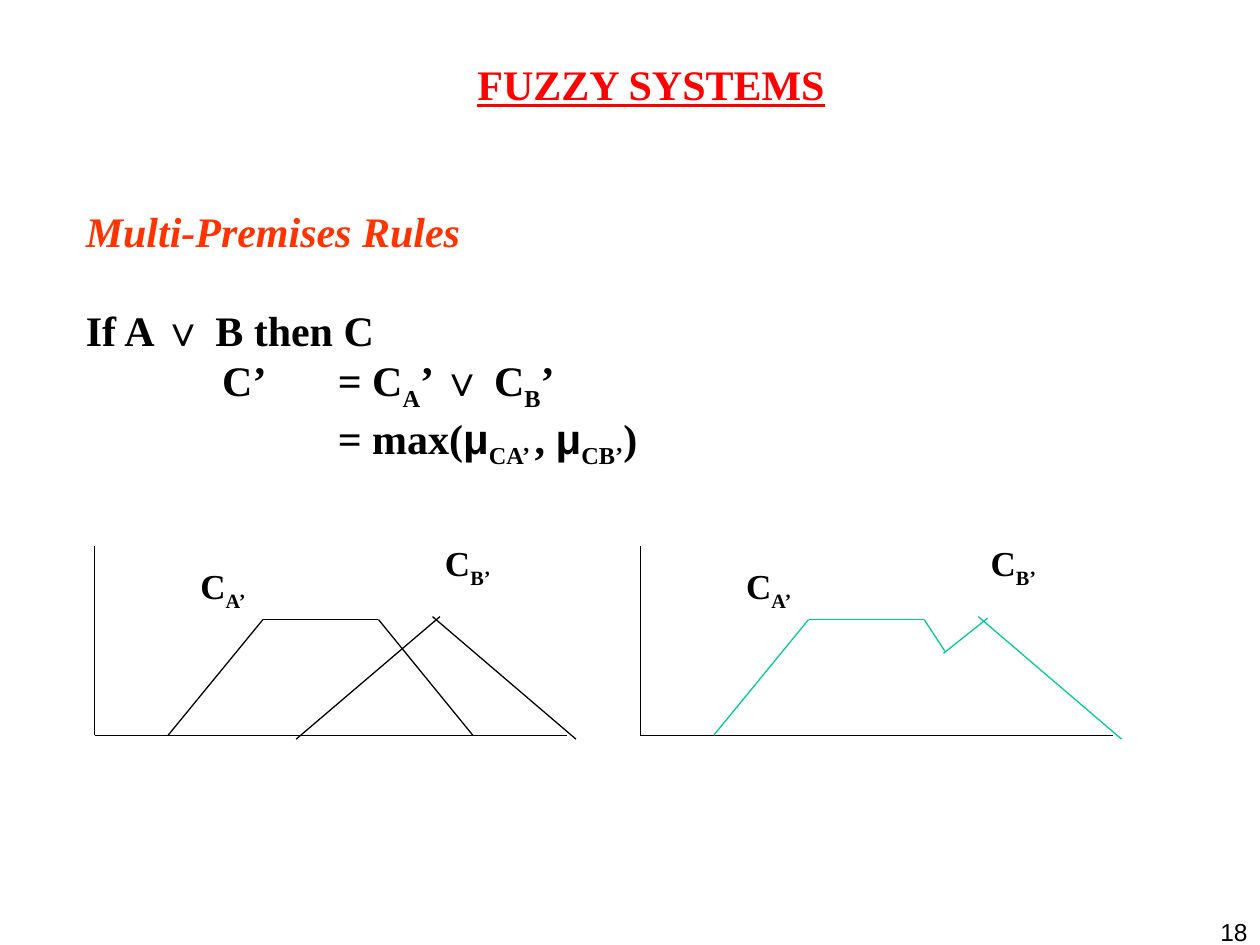
import pptx
import pptx.dml.color
import pptx.enum.shapes
import pptx.enum.text
import pptx.oxml
import pptx.oxml.ns
import pptx.util
from pptx.util import Cm

BLACK = pptx.dml.color.RGBColor(0x00, 0x00, 0x00)
RED = pptx.dml.color.RGBColor(0xFF, 0x00, 0x00)
ORANGE = pptx.dml.color.RGBColor(0xFF, 0x33, 0x00)
GREEN = pptx.dml.color.RGBColor(0x00, 0xCC, 0x99)
SERIF, SANS = "Times New Roman", "Arial"
ALIGN = pptx.enum.text.PP_ALIGN

# Graph geometry in cm, measured right and up from each graph's origin
ORIGIN_Y = 14.82
LEFT_X, RIGHT_X = 1.91, 12.91
AXES = [((0, 0), (0, 3.81)), ((0, 0), (9.53, 0))]
A_RISE = ((1.48, 0), (3.39, 2.33))
A_TOP = ((3.39, 2.33), (5.72, 2.33))
A_FALL = ((5.72, 2.33), (7.62, 0))
B_RISE = ((4.06, -0.08), (6.96, 2.39))
B_FALL = ((6.81, 2.39), (9.7, -0.08))
A_FALL_TO_B = ((5.72, 2.33), (6.14, 1.69))
B_RISE_FROM_A = ((6.11, 1.65), (7, 2.36))
LABELS = [("A’", 1.88, 3.56), ("B’", 6.81, 4.02)]


def add_run(paragraph, text, size=24, color=BLACK, font=SERIF, bold=True, sub=False):
    run = paragraph.add_run()
    run.text = text
    run.font.size = pptx.util.Pt(size)
    run.font.name = font
    run.font.bold = bold
    run.font.color.rgb = color
    if sub:
        run.font._element.set("baseline", "-25000")
    return run


def add_text_frame(shapes, left, top, width, height, wrap=True):
    frame = shapes.add_textbox(Cm(left), Cm(top), Cm(width), Cm(height)).text_frame
    frame.word_wrap = wrap
    return frame


def add_tab_stops(paragraph, *positions):
    tabs = pptx.oxml.parse_xml(f"<a:tabLst {pptx.oxml.ns.nsdecls('a')}/>")
    for position in positions:
        stop = tabs.makeelement(pptx.oxml.ns.qn("a:tab"), {"pos": str(Cm(position)), "algn": "l"})
        tabs.append(stop)
    paragraph._p.get_or_add_pPr().append(tabs)


def add_title(slide):
    title = slide.shapes.title
    title.left, title.top, title.width, title.height = Cm(3.18), Cm(1.06), Cm(19.89), Cm(1.27)
    frame = title.text_frame
    frame.word_wrap = True
    frame.auto_size = pptx.enum.text.MSO_AUTO_SIZE.NONE
    frame.vertical_anchor = pptx.enum.text.MSO_ANCHOR.TOP
    heading = frame.paragraphs[0]
    heading.alignment = ALIGN.CENTER
    add_run(heading, "FUZZY SYSTEMS", color=RED).font.underline = True


def add_rules(slide):
    frame = add_text_frame(slide.shapes, 1.48, 4.02, 22.65, 5.61)
    heading = frame.paragraphs[0]
    add_run(heading, "Multi-Premises Rules", color=ORANGE).font.italic = True

    # Each piece is text, font, subscript
    formulas = [
        [("If A ", SERIF, False), ("∨", SANS, False), (" B then C", SERIF, False)],
        [("\t C’ \t= C", SERIF, False), ("A", SERIF, True), ("’ ", SERIF, False),
         ("∨", SANS, False), (" C", SERIF, False), ("B", SERIF, True), ("’ ", SERIF, False)],
        [("\t\t= max(", SERIF, False), ("μ", SANS, False), ("CA’ ", SERIF, True),
         (", ", SERIF, False), ("μ", SANS, False), ("CB’", SERIF, True), (")", SERIF, False)],
    ]
    for pieces in formulas:
        formula = frame.add_paragraph()
        add_tab_stops(formula, 2.54, 5.08)
        for text, font, sub in pieces:
            add_run(formula, text, font=font, sub=sub)
    frame.paragraphs[1].space_before = pptx.util.Pt(27.6)
    for paragraph in frame.paragraphs:
        paragraph.alignment = ALIGN.JUSTIFY


def add_segment(shapes, origin_x, segment, color):
    (x1, y1), (x2, y2) = segment
    line = shapes.add_connector(
        pptx.enum.shapes.MSO_CONNECTOR.STRAIGHT,
        Cm(origin_x + x1), Cm(ORIGIN_Y - y1), Cm(origin_x + x2), Cm(ORIGIN_Y - y2))
    line.line.color.rgb = color
    line.line.width = pptx.util.Pt(0.75)
    effects = pptx.oxml.parse_xml(f"<a:effectLst {pptx.oxml.ns.nsdecls('a')}/>")
    line._element.spPr.append(effects)


def add_graph(slide, origin_x, segments, color):
    graph = slide.shapes.add_group_shape().shapes
    for axis in AXES:
        add_segment(graph, origin_x, axis, BLACK)
    for segment in segments:
        add_segment(graph, origin_x, segment, color)
    for subscript, x, y in LABELS:
        frame = add_text_frame(graph, origin_x + x, ORIGIN_Y - y, 1.44, 1.22, wrap=False)
        label = frame.paragraphs[0]
        add_run(label, "C", size=20)
        add_run(label, subscript, size=20, sub=True)


def add_page_number(slide):
    number = add_text_frame(slide.shapes, 24.03, 18.36, 1.37, 0.69).paragraphs[0]
    number.alignment = ALIGN.RIGHT
    add_run(number, "18", size=14, font=SANS, bold=False)


def main():
    deck = pptx.Presentation()
    deck.slide_width, deck.slide_height = Cm(25.4), Cm(19.05)
    slide = deck.slides.add_slide(deck.slide_layouts[5])
    add_title(slide)
    add_rules(slide)
    # Separate memberships, then their maximum
    add_graph(slide, LEFT_X, [A_RISE, A_TOP, A_FALL, B_RISE, B_FALL], BLACK)
    add_graph(slide, RIGHT_X, [A_RISE, A_TOP, A_FALL_TO_B, B_RISE_FROM_A, B_FALL], GREEN)
    add_page_number(slide)
    deck.save("out.pptx")


if __name__ == "__main__":
    main()
